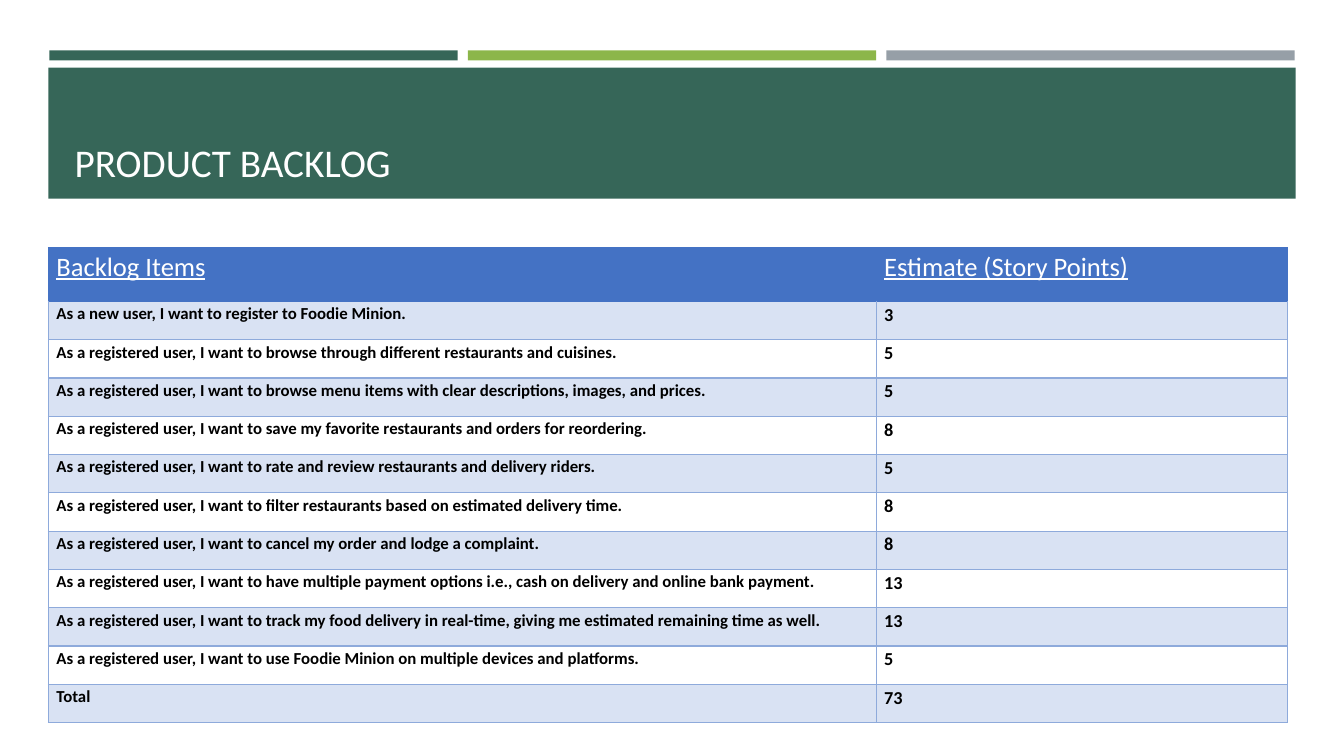
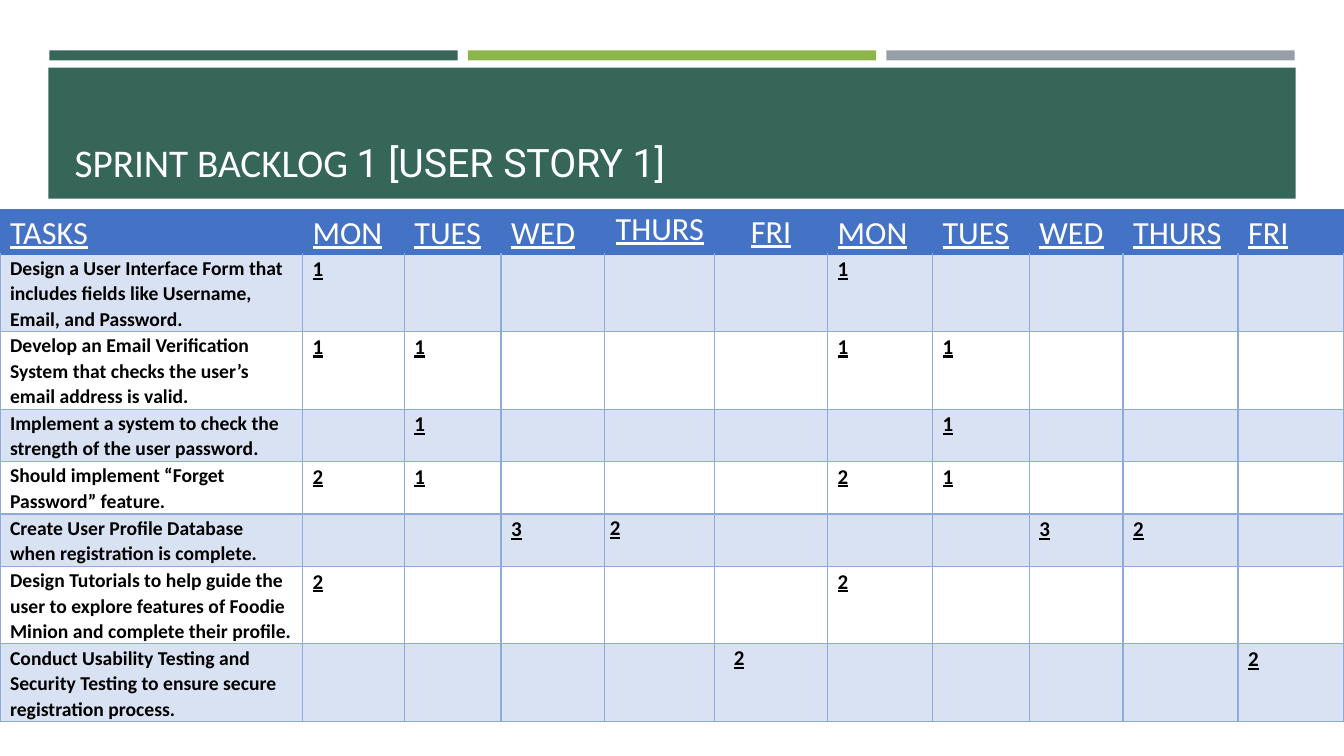
from dataclasses import dataclass

from lxml import etree
from pptx import Presentation
from pptx.dml.color import RGBColor
from pptx.enum.shapes import MSO_SHAPE
from pptx.enum.text import MSO_ANCHOR, MSO_AUTO_SIZE, PP_ALIGN
from pptx.oxml.ns import qn
from pptx.util import Inches, Pt

RECTANGLE = MSO_SHAPE.RECTANGLE
BOTTOM = MSO_ANCHOR.BOTTOM
NO_AUTOFIT = MSO_AUTO_SIZE.NONE
LEFT, CENTER, JUSTIFY = PP_ALIGN.LEFT, PP_ALIGN.CENTER, PP_ALIGN.JUSTIFY
TITLE_ONLY = 5


@dataclass(frozen=True)
class Theme:
    """Colours, fonts and type sizes of the deck."""
    green: str = "366658"
    lime: str = "8CB64A"
    grey: str = "969FA7"
    white: str = "FFFFFF"
    black: str = "000000"
    header: str = "4472C4"
    stripe: str = "D9E2F3"
    grid: str = "8EAADB"
    font: str = "Calibri"
    title_accent_font: str = "Roboto"
    title_size: int = 28
    line_spacing: float = 1.07


@dataclass(frozen=True)
class Box:
    """A region in inches."""
    left: float
    top: float
    width: float
    height: float

    def place(self, shape):
        """Move a shape onto this region."""
        for side in ("left", "top", "width", "height"):
            setattr(shape, side, Inches(getattr(self, side)))

    def lengths(self):
        """Return left, top, width and height as lengths."""
        return [Inches(n) for n in (self.left, self.top, self.width, self.height)]


THEME = Theme()
SLIDE_WIDTH, SLIDE_HEIGHT = 13.33, 7.5
STRIP_BOX = Box(0.49, 0.5, 12.35, 0.1)
STRIP_GAP = 0.1
BANNER_BOX = Box(0.48, 0.67, 12.37, 1.3)
TITLE_BOX = Box(0.64, 0.78, 12.06, 1.11)

PRODUCT_BOX = Box(0.48, 2.46, 12.29, 4.71)
PRODUCT_COLUMNS = [8.21, 4.08]
PRODUCT_HEADER_HEIGHT, PRODUCT_ROW_HEIGHT = 0.53, 0.38
PRODUCT_HEADER = ["Backlog Items", "Estimate (Story Points)"]
PRODUCT_ITEMS = [
    ("As a new user, I want to register to Foodie Minion.", 3),
    ("As a registered user, I want to browse through different restaurants and cuisines.", 5),
    ("As a registered user, I want to browse menu items with clear descriptions, images, and prices.", 5),
    ("As a registered user, I want to save my favorite restaurants and orders for reordering.", 8),
    ("As a registered user, I want to rate and review restaurants and delivery riders.", 5),
    ("As a registered user, I want to filter restaurants based on estimated delivery time.", 8),
    ("As a registered user, I want to cancel my order and lodge a complaint.", 8),
    ("As a registered user, I want to have multiple payment options i.e., cash on delivery"
     " and online bank payment.", 13),
    ("As a registered user, I want to track my food delivery in real-time, giving me estimated"
     " remaining time as well.", 13),
    ("As a registered user, I want to use Foodie Minion on multiple devices and platforms.", 5),
]

SPRINT_BOX = Box(0, 2.08, 13.33, 5.08)
SPRINT_COLUMNS = [3, 1.01, 0.96, 1.03, 1.09, 1.12, 1.04, 0.96, 0.93, 1.14, 1.05]
SPRINT_HEADER_HEIGHT, TWO_LINES, THREE_LINES = 0.44, 0.52, 0.77
DAYS = ["MON", "TUES", "WED", "THURS", "FRI"]
WEEKS = 2
SPRINT_TASKS = [
    ("Design a User Interface Form that includes fields like Username, Email, and Password.",
     THREE_LINES, {"MON": 1}),
    ("Develop an Email Verification System that checks the user’s email address is valid.",
     THREE_LINES, {"MON": 1, "TUES": 1}),
    ("Implement a system to check the strength of the user password.",
     TWO_LINES, {"TUES": 1}),
    ("Should implement “Forget Password” feature.",
     TWO_LINES, {"MON": 2, "TUES": 1}),
    ("Create User Profile Database when registration is complete.",
     TWO_LINES, {"WED": 3, "THURS": 2}),
    ("Design Tutorials to help guide the user to explore features of Foodie Minion"
     " and complete their profile.", THREE_LINES, {"MON": 2}),
    ("Conduct Usability Testing and Security Testing to ensure secure registration process.",
     THREE_LINES, {"FRI": 2}),
]
FLUSH_COLUMNS = {4: 0.05, 5: 0.19}


def write_run(paragraph, text, color, **formats):
    """Add a run with the given font attributes."""
    run = paragraph.add_run()
    run.text = text
    run.font.color.rgb = RGBColor.from_string(color)
    for name, value in formats.items():
        setattr(run.font, name, value)


def add_bar(slide, box, color):
    """Add a plain filled rectangle."""
    bar = slide.shapes.add_shape(RECTANGLE, *box.lengths())
    bar.shadow.inherit = False
    bar.fill.solid()
    bar.fill.fore_color.rgb = RGBColor.from_string(color)
    bar.line.fill.background()
    return bar


def build_layout(presentation):
    """Put the strips, banner and title position on the shared layout."""
    layout = presentation.slide_layouts[TITLE_ONLY]
    TITLE_BOX.place(layout.placeholders[0])
    slide = presentation.slides.add_slide(layout)
    colors = [THEME.green, THEME.lime, THEME.grey]
    width = (STRIP_BOX.width - STRIP_GAP * (len(colors) - 1)) / len(colors)
    bars = [add_bar(slide, Box(STRIP_BOX.left + i * (width + STRIP_GAP), STRIP_BOX.top,
                               width, STRIP_BOX.height), color)
            for i, color in enumerate(colors)]
    bars.append(add_bar(slide, BANNER_BOX, THEME.green))
    for position, bar in enumerate(bars, start=2):
        layout.shapes.element.insert(position, bar.element)
    return slide


def write_title(slide, *runs):
    """Fill the title placeholder with (text, font) runs."""
    title = slide.shapes.title
    TITLE_BOX.place(title)
    frame = title.text_frame
    for name, value in {"vertical_anchor": BOTTOM, "word_wrap": True,
                        "auto_size": NO_AUTOFIT}.items():
        setattr(frame, name, value)
    paragraph = frame.paragraphs[0]
    paragraph.alignment = LEFT
    for text, font in runs:
        write_run(paragraph, text, THEME.white, name=font, size=Pt(THEME.title_size))


def set_borders(cell, row):
    """Draw the four sides of a cell, blue around the header."""
    properties = cell._tc.get_or_add_tcPr()
    for side in ("L", "R", "T", "B"):
        color = THEME.header if row == 0 or (row == 1 and side == "T") else THEME.grid
        line = etree.SubElement(properties, qn(f"a:ln{side}"), w=str(Pt(1)))
        fill = etree.SubElement(line, qn("a:solidFill"))
        etree.SubElement(fill, qn("a:srgbClr"), val=color)


def fill_cell(cell, row):
    """Paint the header blue and every other body row pale blue."""
    if row > 0 and row % 2 == 0:
        cell.fill.background()
        return
    cell.fill.solid()
    cell.fill.fore_color.rgb = RGBColor.from_string(THEME.stripe if row else THEME.header)


def set_margins(cell, left, top, right):
    """Set the cell insets in inches, with none below."""
    for side, value in {"left": left, "top": top, "right": right, "bottom": 0}.items():
        setattr(cell, f"margin_{side}", Inches(value))


def add_backlog(slide, box, columns, heights, rows, inset, sizes, underline):
    """Add a striped table; sizes are header, first column and values."""
    table = slide.shapes.add_table(len(rows), len(columns), *box.lengths()).table
    table.first_row = table.horz_banding = False
    for column, width in zip(table.columns, columns):
        column.width = Inches(box.width * width / sum(columns))
    for row, height in zip(table.rows, heights):
        row.height = Inches(box.height * height / sum(heights))
    for r, texts in enumerate(rows):
        for c, text in enumerate(texts):
            cell = table.cell(r, c)
            set_borders(cell, r)
            fill_cell(cell, r)
            set_margins(cell, inset, 0.01, inset)
            paragraph = cell.text_frame.paragraphs[0]
            paragraph.line_spacing = THEME.line_spacing
            if text:
                header = r == 0
                size = sizes[0] if header else sizes[1 if c == 0 else 2]
                write_run(paragraph, text, THEME.white if header else THEME.black,
                          name=THEME.font, size=Pt(size), bold=not header,
                          underline=header or (underline and c > 0))
    return table


def build_product_backlog(slide):
    """Build the product backlog slide with its total."""
    write_title(slide, ("PRODUCT BACKLOG", THEME.font))
    total = sum(points for _, points in PRODUCT_ITEMS)
    body = [(text, str(points)) for text, points in PRODUCT_ITEMS + [("Total", total)]]
    heights = [PRODUCT_HEADER_HEIGHT] + [PRODUCT_ROW_HEIGHT] * len(body)
    table = add_backlog(slide, PRODUCT_BOX, PRODUCT_COLUMNS, heights, [PRODUCT_HEADER] + body,
                        inset=0.08, sizes=(19, 12, 13), underline=False)
    for r in range(1, len(heights)):
        table.cell(r, 0).text_frame.paragraphs[0].alignment = JUSTIFY


def build_sprint_backlog(slide):
    """Build the sprint slide, the same week of work twice."""
    write_title(slide, ("SPRINT BACKLOG ", THEME.font),
                ("1 [USER STORY 1]", THEME.title_accent_font))
    rows = [["TASKS"] + DAYS * WEEKS]
    heights = [SPRINT_HEADER_HEIGHT]
    for task, height, hours in SPRINT_TASKS:
        rows.append([task] + [str(hours.get(day, "")) for day in DAYS] * WEEKS)
        heights.append(height)
    table = add_backlog(slide, SPRINT_BOX, SPRINT_COLUMNS, heights, rows,
                        inset=0.1, sizes=(23, 14, 15), underline=True)
    for column, indent in FLUSH_COLUMNS.items():
        for r in range(len(rows)):
            set_margins(table.cell(r, column), indent if r else 0, 0, 0)
        table.cell(0, column).text_frame.paragraphs[0].alignment = CENTER
    table.cell(0, min(FLUSH_COLUMNS)).text_frame.paragraphs[0].line_spacing = 1.0


def main():
    """Build and save the deck."""
    presentation = Presentation()
    presentation.slide_width = Inches(SLIDE_WIDTH)
    presentation.slide_height = Inches(SLIDE_HEIGHT)
    first_slide = build_layout(presentation)
    build_product_backlog(first_slide)
    build_sprint_backlog(presentation.slides.add_slide(first_slide.slide_layout))
    presentation.save("out.pptx")


if __name__ == "__main__":
    main()
